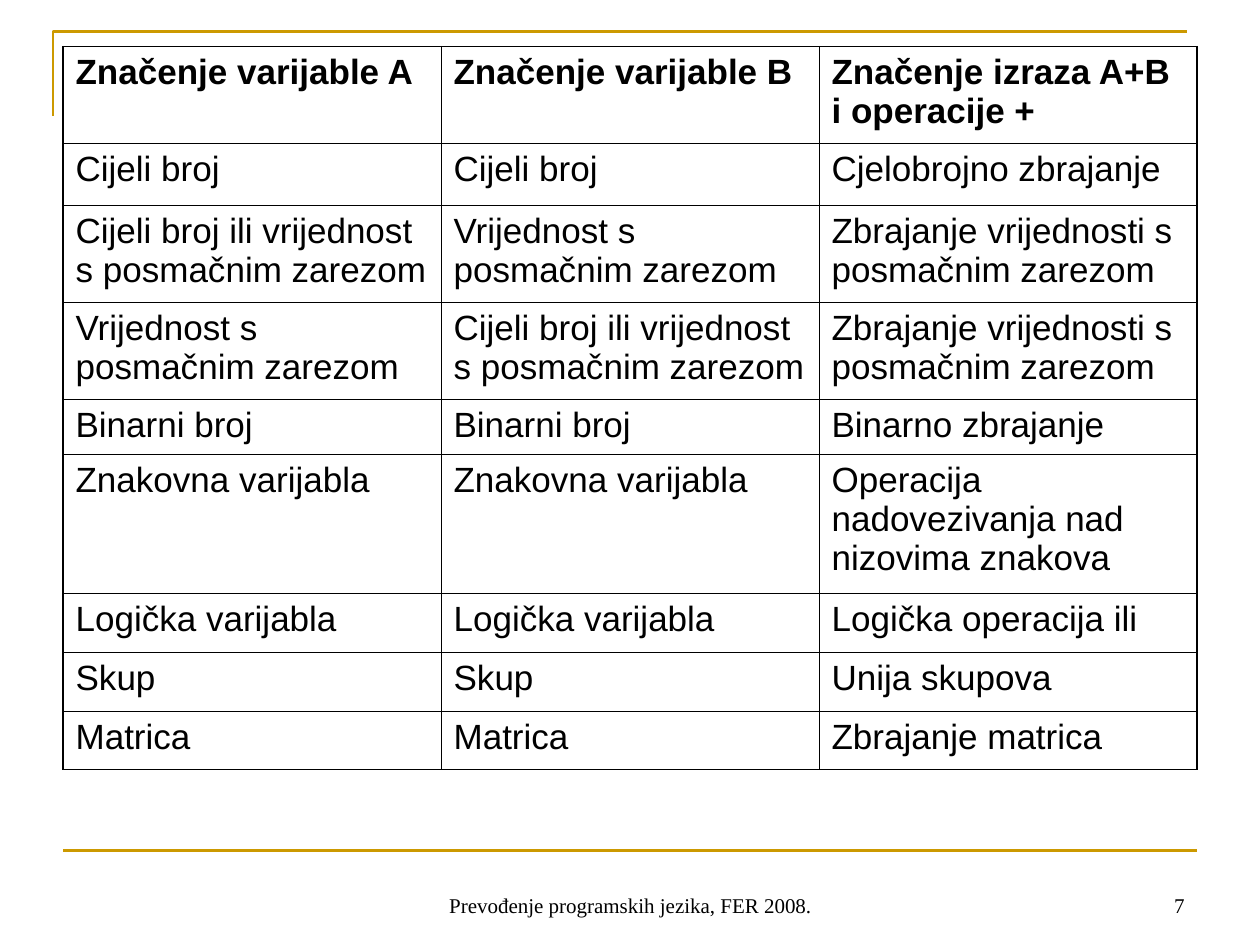
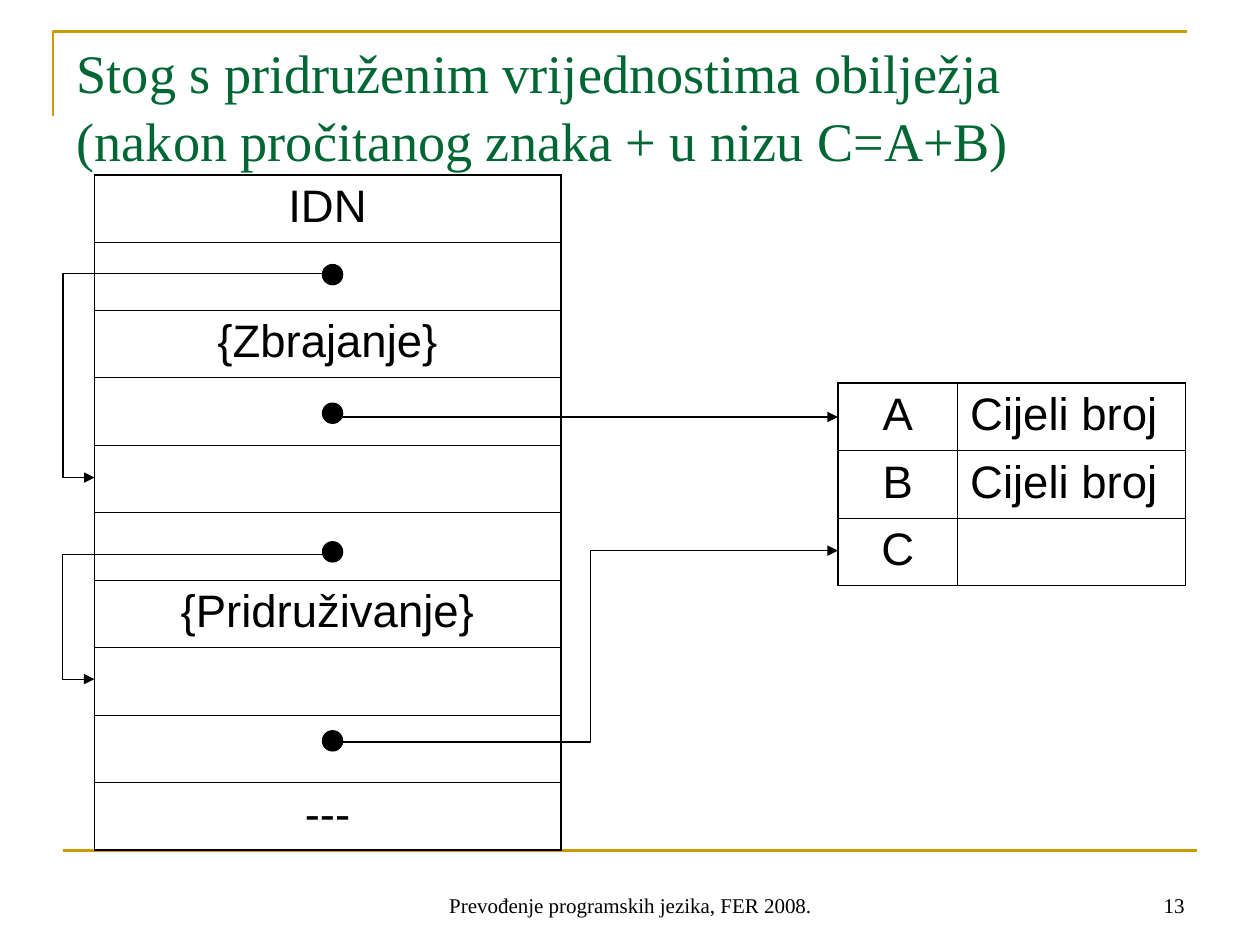
from copy import deepcopy

from pptx import Presentation
from pptx.dml.color import RGBColor
from pptx.enum.shapes import MSO_CONNECTOR as Link, MSO_SHAPE as Preset
from pptx.enum.text import MSO_ANCHOR as Anchor, MSO_AUTO_SIZE as AutoSize, PP_ALIGN as Align
from pptx.oxml import parse_xml
from pptx.oxml.ns import nsdecls, qn
from pptx.util import Inches, Pt

COLORS = {"text": "000000", "gold": "CC9900", "title": "006633"}
SERIF, SANS = "Times New Roman", "Arial"
FOOTER = "Prevođenje programskih jezika, FER 2008."
OUTER, INNER = 1.08, 0.45

MEANINGS = [
    ("Značenje varijable A", "Značenje varijable B", "Značenje izraza A+B i operacije +"),
    ("Cijeli broj", "Cijeli broj", "Cjelobrojno zbrajanje"),
    ("Cijeli broj ili vrijednost s posmačnim zarezom", "Vrijednost s posmačnim zarezom",
     "Zbrajanje vrijednosti s posmačnim zarezom"),
    ("Vrijednost s posmačnim zarezom", "Cijeli broj ili vrijednost s posmačnim zarezom",
     "Zbrajanje vrijednosti s posmačnim zarezom"),
    ("Binarni broj", "Binarni broj", "Binarno zbrajanje"),
    ("Znakovna varijabla", "Znakovna varijabla", "Operacija nadovezivanja nad nizovima znakova"),
    ("Logička varijabla", "Logička varijabla", "Logička operacija ili"),
    ("Skup", "Skup", "Unija skupova"),
    ("Matrica", "Matrica", "Zbrajanje matrica"),
]
MEANING_HEIGHTS = [0.77, 0.49, 0.77, 0.77, 0.44, 1.1, 0.47, 0.47, 0.46]
STACK = ["IDN", "", "{Zbrajanje}", "", "", "", "{Pridruživanje}", "", "", "---"]
SYMBOLS = [("A", "Cijeli broj"), ("B", "Cijeli broj"), ("C", "")]
STACK_ROW = 0.536


def rgb(name):
    return RGBColor.from_string(COLORS[name])


def inches(*lengths):
    return [Inches(length) for length in lengths]


def format_text(paragraph, align, color="text", **font_values):
    paragraph.alignment = align
    for run in paragraph.runs:
        for attribute, value in font_values.items():
            setattr(run.font, attribute, value)
        run.font.color.rgb = rgb(color)


def set_line(shape, color, width):
    shape.line.color.rgb = rgb(color)
    shape.line.width = Pt(width)


def add_link(slide, start, end, color="text", width=0.75, kind=Link.STRAIGHT):
    link = slide.shapes.add_connector(kind, *inches(*start, *end))
    set_line(link, color, width)
    link.element.spPr.append(parse_xml(f'<a:effectLst {nsdecls("a")}/>'))
    return link


def add_arrow(slide, start, end, bend_x=None):
    kind = Link.STRAIGHT if bend_x is None else Link.ELBOW
    arrow = add_link(slide, start, end, kind=kind)
    arrow.line._get_or_add_ln().append(parse_xml(f'<a:tailEnd {nsdecls("a")} type="triangle"/>'))
    if bend_x is not None:
        bend = round(100000 * (bend_x - start[0]) / (end[0] - start[0]))
        geometry = arrow.element.spPr.find(qn("a:prstGeom"))
        guides = geometry.find(qn("a:avLst"))
        guides.append(parse_xml(f'<a:gd {nsdecls("a")} name="adj1" fmla="val {bend}"/>'))


def add_dot(slide, left, top):
    dot = slide.shapes.add_shape(Preset.OVAL, *inches(left, top, 0.16, 0.16))
    dot.shadow.inherit = False
    dot.fill.solid()
    dot.fill.fore_color.rgb = rgb("text")
    set_line(dot, "text", 0.75)


def add_frame(master, slide):
    builder = slide.shapes.build_freeform(*inches(0.42, 0.92), scale=1.0)
    builder.add_line_segments([inches(0.42, 0.25), inches(9.42, 0.25)], close=False)
    corner = builder.convert_to_shape()
    corner.fill.background()
    corner.shadow.inherit = False
    set_line(corner, "gold", 1.5)
    base = add_link(slide, (0.5, 6.75), (9.5, 6.75), "gold", 1.5)
    for part in (corner, base):
        master.shapes.element.append(part.element)


def add_footer_text(slide, text, left, width, align):
    box = slide.shapes.add_textbox(*inches(left, 6.83, width, 0.5))
    frame = box.text_frame
    frame.word_wrap = True
    frame.vertical_anchor = Anchor.BOTTOM
    frame.text = text
    format_text(frame.paragraphs[0], align, name=SERIF, size=Pt(12))


def add_footer(slide, number):
    add_footer_text(slide, FOOTER, 3.42, 3.17, Align.CENTER)
    add_footer_text(slide, number, 7.17, 2.33, Align.RIGHT)


def set_title(slide, text):
    title = slide.shapes.title
    for side, length in zip(("left", "top", "width", "height"), inches(0.51, 0.21, 9, 1.25)):
        setattr(title, side, length)
    frame = title.text_frame
    frame.text = text
    frame.auto_size = AutoSize.NONE
    frame.vertical_anchor = Anchor.TOP
    frame.margin_top = Inches(0.08)
    heading = frame.paragraphs[0]
    heading.line_spacing = 1.04
    format_text(heading, Align.LEFT, "title", name=SERIF, size=Pt(31))
    for line_break in heading._p.findall(qn("a:br")):
        line_break.append(deepcopy(heading.runs[0]._r.rPr))


def set_borders(cell, edges):
    properties = cell._tc.get_or_add_tcPr()
    for side, outer in edges.items():
        width = Pt(OUTER if outer else INNER)
        properties.append(parse_xml(
            f'<a:ln{side} {nsdecls("a")} w="{width}"><a:solidFill>'
            f'<a:srgbClr val="{COLORS["text"]}"/></a:solidFill></a:ln{side}>'))


def add_grid(slide, left, top, widths, heights, rows, aligns, size, bold_header=False):
    grid = slide.shapes.add_table(
        len(rows), len(widths), *inches(left, top, sum(widths), sum(heights))).table
    grid.first_row = grid.horz_banding = False
    for column, width in zip(grid.columns, widths):
        column.width = Inches(width)
    for row, height in zip(grid.rows, heights):
        row.height = Inches(height)
    for r, texts in enumerate(rows):
        for c, text in enumerate(texts):
            cell = grid.cell(r, c)
            set_borders(cell, {"L": c == 0, "R": c == len(widths) - 1,
                               "T": r == 0, "B": r == len(rows) - 1})
            cell.fill.background()
            if text:
                cell.text = text
                format_text(cell.text_frame.paragraphs[0], aligns[c], name=SANS,
                            size=Pt(size), bold=bold_header and r == 0)


def build_meanings(slide):
    add_grid(slide, 0.5, 0.37, [3] * 3, MEANING_HEIGHTS, MEANINGS,
             [Align.LEFT] * 3, 20, bold_header=True)
    add_footer(slide, "7")


def build_stack(slide):
    set_title(slide, "Stog s pridruženim vrijednostima obilježja\v"
                     "(nakon pročitanog znaka + u nizu C=A+B)")
    add_grid(slide, 0.75, 1.39, [3.7], [STACK_ROW] * len(STACK),
             [(entry,) for entry in STACK], [Align.CENTER], 26)
    add_grid(slide, 6.65, 3.04, [0.95, 1.81], [STACK_ROW] * len(SYMBOLS),
             SYMBOLS, [Align.CENTER, Align.LEFT], 26)
    for dot_top in (2.1, 3.2, 4.3, 5.8):
        add_dot(slide, 2.56, dot_top)
    add_arrow(slide, (2.64, 5.89), (6.65, 4.37), bend_x=4.69)
    add_arrow(slide, (2.69, 3.31), (6.65, 3.31))
    add_arrow(slide, (2.64, 2.17), (0.75, 3.79), bend_x=0.5)
    add_arrow(slide, (2.58, 4.4), (0.75, 5.39), bend_x=0.5)
    add_footer(slide, "13")


def main():
    deck = Presentation()
    deck.slide_width, deck.slide_height = inches(10, 7.5)
    title_only, blank = deck.slide_layouts[5], deck.slide_layouts[6]
    meanings = deck.slides.add_slide(blank)
    add_frame(deck.slide_master, meanings)
    build_meanings(meanings)
    build_stack(deck.slides.add_slide(title_only))
    deck.save("out.pptx")


if __name__ == "__main__":
    main()
